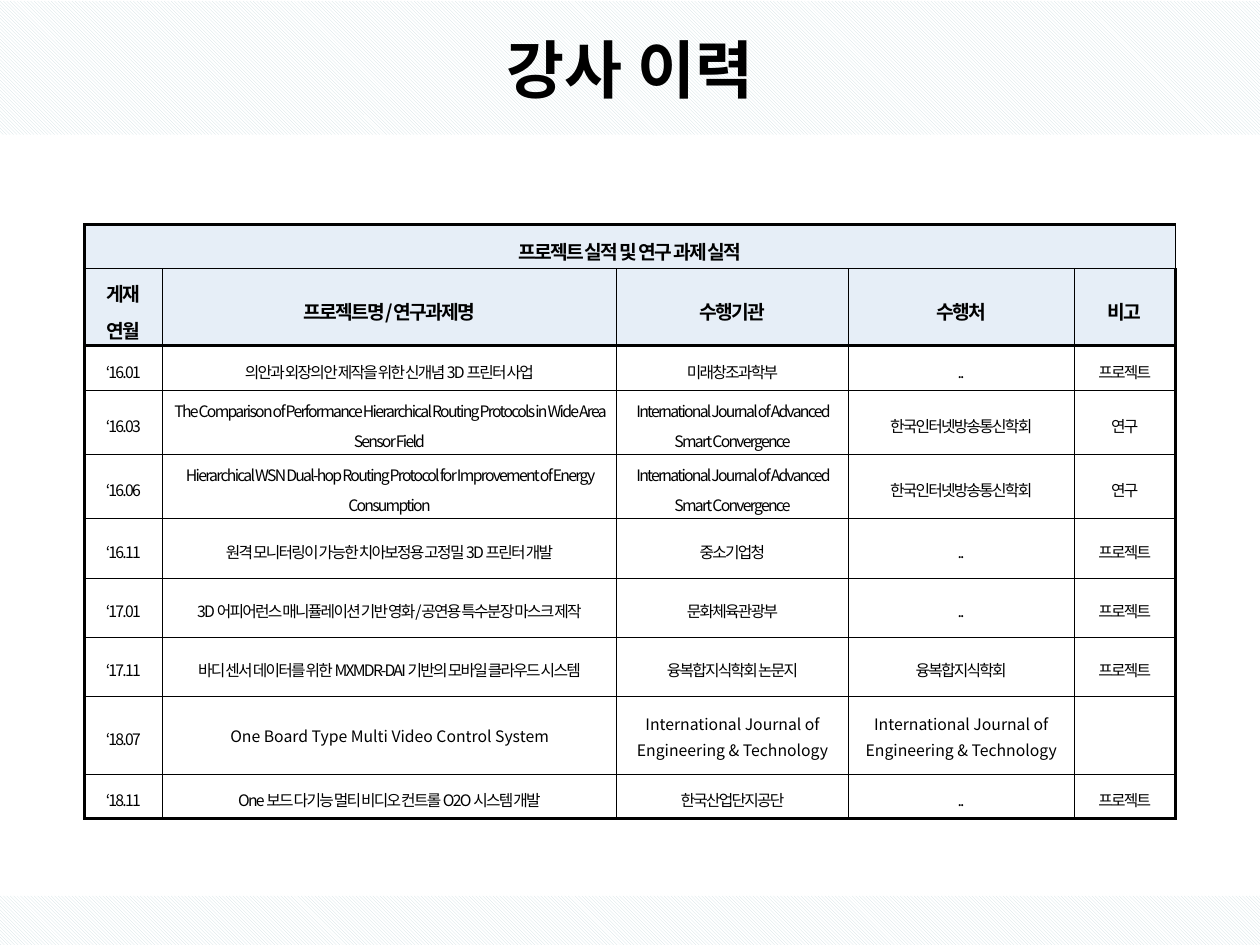
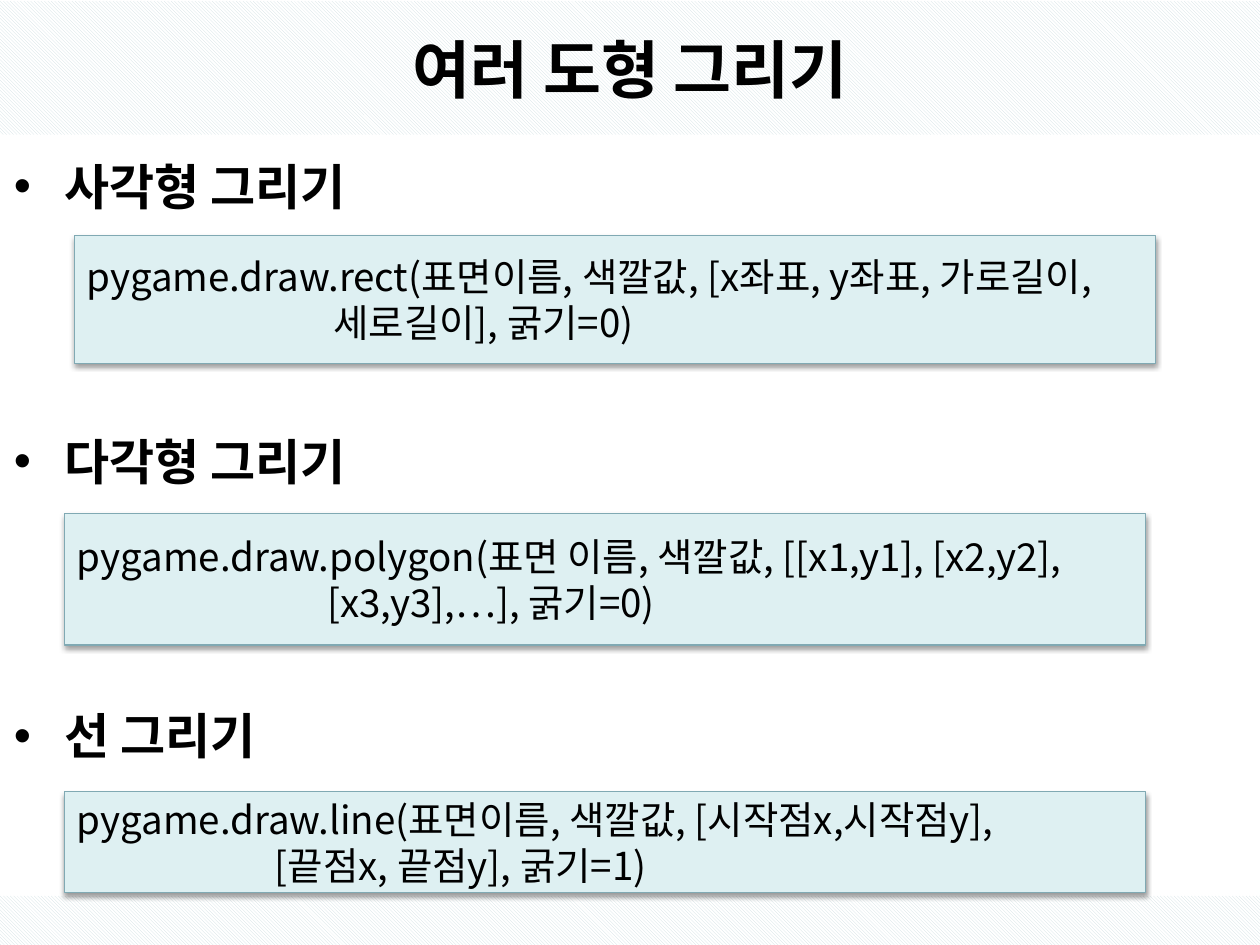
from lxml import etree
from pptx import Presentation
from pptx.dml.color import RGBColor as RGB
from pptx.enum.dml import MSO_PATTERN
from pptx.enum.shapes import MSO_SHAPE
from pptx.enum.text import MSO_ANCHOR as ANCHOR, PP_ALIGN as ALIGN
from pptx.oxml import parse_xml
from pptx.oxml.ns import nsdecls, qn
from pptx.util import Pt

COLORS = {"text": "000000", "paper": "FFFFFF", "hatch": "CEDEE2",
          "head": "E6EEF7", "code": "DEF0F2", "edge": "80A9B3"}
FONT = "Noto Sans CJK KR"
SLIDE_W, SLIDE_H = 720, 540
THIN, OUTER, HEAD_RULE = 0.28, 1.7, 1.98


def rgb(name):
    return RGB.from_string(COLORS[name])


class Deck:
    """Holds the shared style and the slide being built."""

    def __init__(self):
        self.prs = Presentation()
        self.prs.slide_width, self.prs.slide_height = Pt(SLIDE_W), Pt(SLIDE_H)
        self.s = None

    def slide(self, title):
        self.s = self.prs.slides.add_slide(self.prs.slide_layouts[6])
        self.band(512, 28)
        tf = self.band(0.7, 76.3).text_frame
        self.frame(tf, 7.9, 3.6, ANCHOR.MIDDLE)
        self.text(tf.paragraphs[0], title, 36, bold=True, alignment=ALIGN.CENTER)

    def box(self, x, y, w, h):
        sp = self.s.shapes.add_shape(MSO_SHAPE.RECTANGLE, Pt(x), Pt(y), Pt(w), Pt(h))
        sp.shadow.inherit = False
        return sp

    def band(self, y, h):
        sp = self.box(0, y, SLIDE_W, h)
        sp.fill.patterned()
        sp.fill.pattern = MSO_PATTERN.LIGHT_DOWNWARD_DIAGONAL
        sp.fill.fore_color.rgb, sp.fill.back_color.rgb = rgb("hatch"), rgb("paper")
        sp.line.fill.background()
        return sp

    def frame(self, tf, side, edge, anchor):
        tf.word_wrap = True
        tf.vertical_anchor = anchor
        tf.margin_left = tf.margin_right = Pt(side)
        tf.margin_top = tf.margin_bottom = Pt(edge)

    def text(self, p, text, size, bold=False, spacing=0, **fmt):
        for name, value in fmt.items():
            setattr(p, name, value)
        r = p.add_run()
        r.text = text
        for name, value in {"name": FONT, "size": Pt(size), "bold": bold}.items():
            setattr(r.font, name, value)
        r.font.color.rgb = rgb("text")
        rpr = r._r.get_or_add_rPr()
        etree.SubElement(rpr, qn("a:ea")).set("typeface", FONT)
        if spacing:
            rpr.set("spc", str(int(spacing * 100)))

    def indent(self, p, left, hang=0):
        ppr = p._p.get_or_add_pPr()
        ppr.set("marL", str(Pt(left)))
        ppr.set("indent", str(-Pt(hang)))
        return ppr

    def bullets(self, x, y, w, h, items, line, first_gap, pitch):
        tf = self.s.shapes.add_textbox(Pt(x), Pt(y), Pt(w), Pt(h)).text_frame
        self.frame(tf, 7.9, 3.6, ANCHOR.TOP)
        for i, text in enumerate(items):
            p = tf.add_paragraph() if i else tf.paragraphs[0]
            self.text(p, text, 28, bold=True, line_spacing=Pt(line),
                      space_before=Pt(pitch - line if i else first_gap))
            ppr = self.indent(p, 28.8, 28.8)
            etree.SubElement(ppr, qn("a:buFont")).set("typeface", "Arial")
            etree.SubElement(ppr, qn("a:buChar")).set("char", "•")

    def code(self, x, y, h, call, rest, rest_indent):
        sp = self.box(x, y, 617.8, h)
        sp.fill.solid()
        sp.fill.fore_color.rgb = rgb("code")
        sp.line.color.rgb, sp.line.width = rgb("edge"), Pt(0.75)
        effects = sp._element.spPr.find(qn("a:effectLst"))
        effects.append(parse_xml(
            f'<a:outerShdw {nsdecls("a")} blurRad="{Pt(3.1)}" dist="{Pt(1.6)}" '
            f'dir="5400000" rotWithShape="0"><a:srgbClr val="{COLORS["text"]}">'
            '<a:alpha val="38000"/></a:srgbClr></a:outerShdw>'))
        tf = sp.text_frame
        self.frame(tf, 7.2, 3.6, ANCHOR.MIDDLE)
        fmt = {"alignment": ALIGN.LEFT, "line_spacing": Pt(26.4)}
        self.text(tf.paragraphs[0], call, 22, **fmt)
        p = tf.add_paragraph()
        self.text(p, rest, 22, **fmt)
        self.indent(p, rest_indent)

    def borders(self, cell, widths):
        tcpr = cell._tc.get_or_add_tcPr()
        for i, (side, width) in enumerate(zip("LRTB", widths)):
            tcpr.insert(i, parse_xml(
                f'<a:ln{side} {nsdecls("a")} w="{Pt(width)}"><a:solidFill>'
                f'<a:srgbClr val="{COLORS["text"]}"/></a:solidFill></a:ln{side}>'))

    def table(self, x, y, col_widths, row_heights, rows, head_rows, loose):
        n_rows, n_cols = len(rows), len(col_widths)
        tbl = self.s.shapes.add_table(n_rows, n_cols, Pt(x), Pt(y), Pt(sum(col_widths)),
                                      Pt(sum(row_heights))).table
        tbl.first_row = tbl.horz_banding = False
        for col, w in zip(tbl.columns, col_widths):
            col.width = Pt(w)
        for row, h in zip(tbl.rows, row_heights):
            row.height = Pt(h)
        tbl.cell(0, 0).merge(tbl.cell(0, n_cols - 1))

        # Rules above row 0, between the rows and below the last one
        rules = [THIN] * (n_rows + 1)
        rules[0] = rules[-1] = OUTER
        rules[head_rows] = HEAD_RULE
        for i, texts in enumerate(rows):
            head = i < head_rows
            for j in range(n_cols):
                cell = tbl.cell(i, j)
                if head:
                    cell.fill.solid()
                    cell.fill.fore_color.rgb = rgb("head")
                else:
                    cell.fill.background()
                self.borders(cell, (THIN if j else OUTER,
                                    THIN if j < n_cols - 1 else OUTER,
                                    rules[i], rules[i + 1]))
                cell.vertical_anchor = ANCHOR.MIDDLE
                for side in ("left", "right", "top", "bottom"):
                    setattr(cell, f"margin_{side}", Pt(1.4))
                if j >= len(texts) or not texts[j]:
                    continue
                fmt = {"spacing": -1, "line_spacing": 1.3, **loose.get((i, j), {})}
                for k, text in enumerate(texts[j].split("\n")):
                    tf = cell.text_frame
                    p = tf.add_paragraph() if k else tf.paragraphs[0]
                    self.text(p, text, 11 if head else 9, bold=head,
                              alignment=ALIGN.CENTER, **fmt)


def career_slide(deck):
    deck.slide("강사 이력")
    smart = "International Journal of Advanced Smart Convergence"
    tech = "International Journal of Engineering & Technology"
    society, project, study = "한국인터넷방송통신학회", "프로젝트", "연구"
    rows = [
        ["프로젝트 실적 및 연구 과제 실적"],
        ["게재\n연월", "프로젝트명/연구과제명", "수행기관", "수행처", "비고"],
        ["‘16.01", "의안과 외장의안 제작을 위한 신개념 3D 프린터 사업", "미래창조과학부", "..", project],
        ["‘16.03", "The Comparison of Performance Hierarchical Routing Protocols "
                   "in Wide Area Sensor Field", smart, society, study],
        ["‘16.06", "Hierarchical WSN Dual-hop Routing Protocol for Improvement "
                   "of Energy Consumption", smart, society, study],
        ["‘16.11", "원격 모니터링이 가능한 치아보정용 고정밀 3D 프린터 개발", "중소기업청", "..", project],
        ["‘17.01", "3D 어피어런스 매니퓰레이션 기반 영화/공연용 특수분장 마스크 제작",
         "문화체육관광부", "..", project],
        ["‘17.11", "바디 센서 데이터를 위한 MXMDR-DAI 기반의 모바일 클라우드 시스템",
         "융복합지식학회 논문지", "융복합지식학회", project],
        ["‘18.07", "One Board Type Multi Video Control System", tech, tech, ""],
        ["‘18.11", "One 보드 다기능 멀티 비디오 컨트롤 O2O 시스템 개발", "한국산업단지공단", "..", project],
    ]
    journal = {"spacing": 0, "line_spacing": 1.15, "space_after": Pt(10)}
    loose = {(8, 1): {"spacing": 0, "line_spacing": 1.0}, (8, 2): journal, (8, 3): journal}
    deck.table(48.2, 128.2, [44.5, 259.7, 132.4, 129, 58],
               [25.2, 41.8, 25.2] + [33.8] * 5 + [44.8, 25.2], rows, 2, loose)


def drawing_slide(deck):
    deck.slide("여러 도형 그리기")
    deck.bullets(0, 86.4, SLIDE_W, 414, ["사각형 그리기", "다각형 그리기", "선 그리기"],
                 line=33, first_gap=4, pitch=157)
    # Call signatures: left, top, height, first line, second line, its indent
    for call in [
        (42.4, 134.6, 73, "pygame.draw.rect(표면이름, 색깔값, [x좌표, y좌표, 가로길이,",
         "세로길이], 굵기=0)", 141),
        (36.9, 293.6, 75, "pygame.draw.polygon(표면 이름, 색깔값, [[x1,y1], [x2,y2],",
         "[x3,y3],…], 굵기=0)", 143),
        (36.9, 452.4, 57.6, "pygame.draw.line(표면이름, 색깔값, [시작점x,시작점y],",
         "[끝점x, 끝점y], 굵기=1)", 113),
    ]:
        deck.code(*call)


def main():
    deck = Deck()
    career_slide(deck)
    drawing_slide(deck)
    deck.prs.save("out.pptx")


if __name__ == "__main__":
    main()
